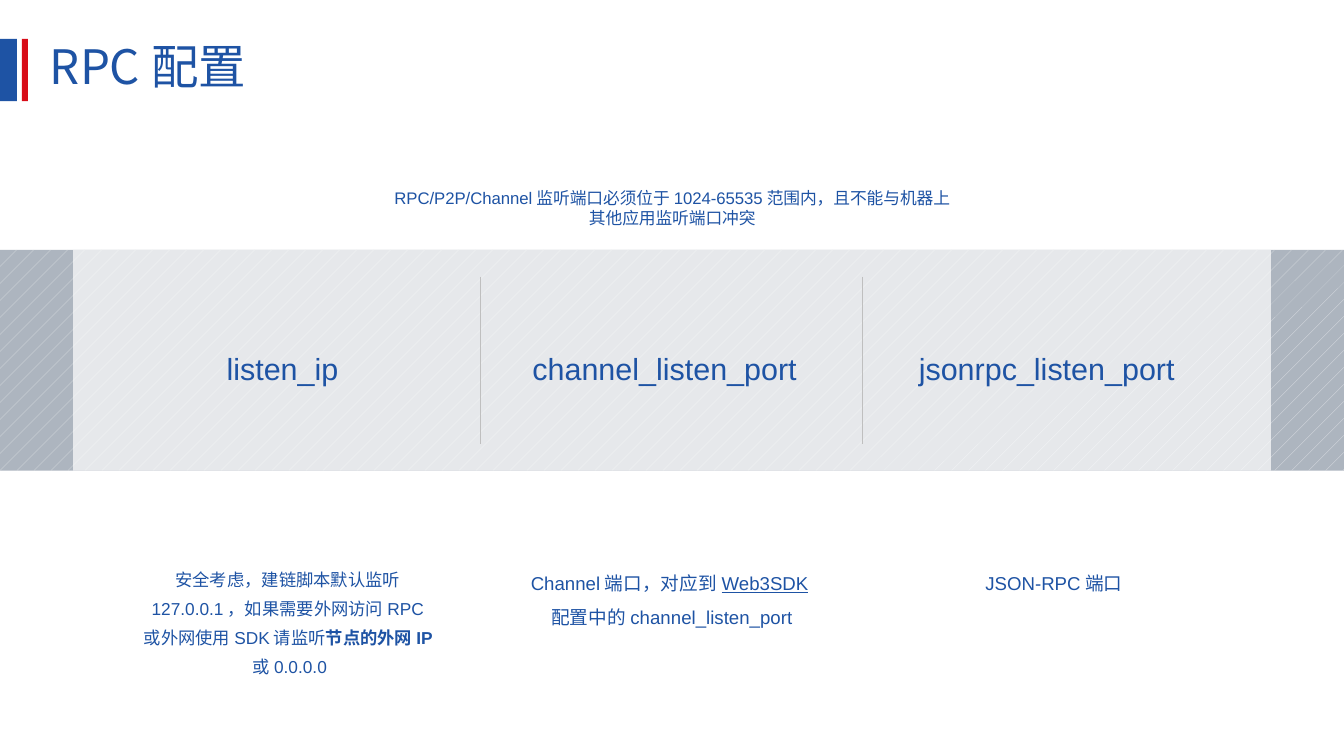
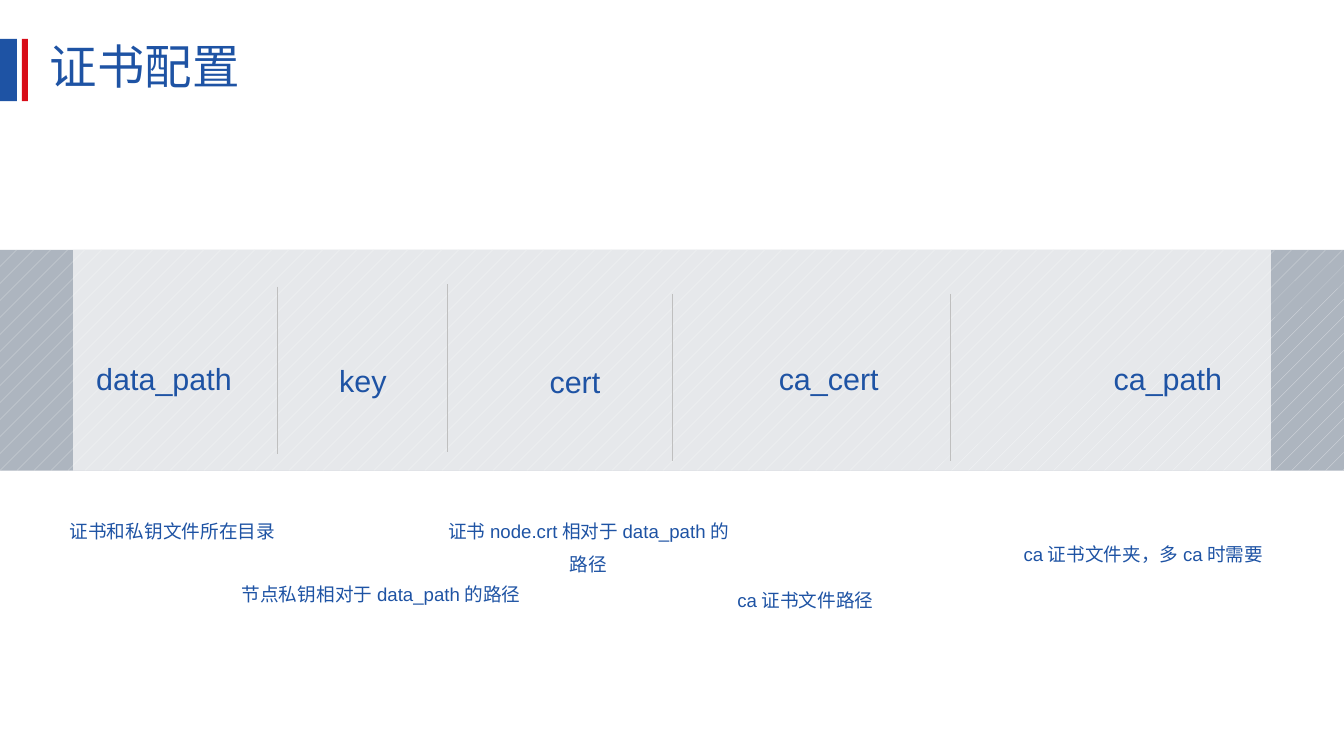
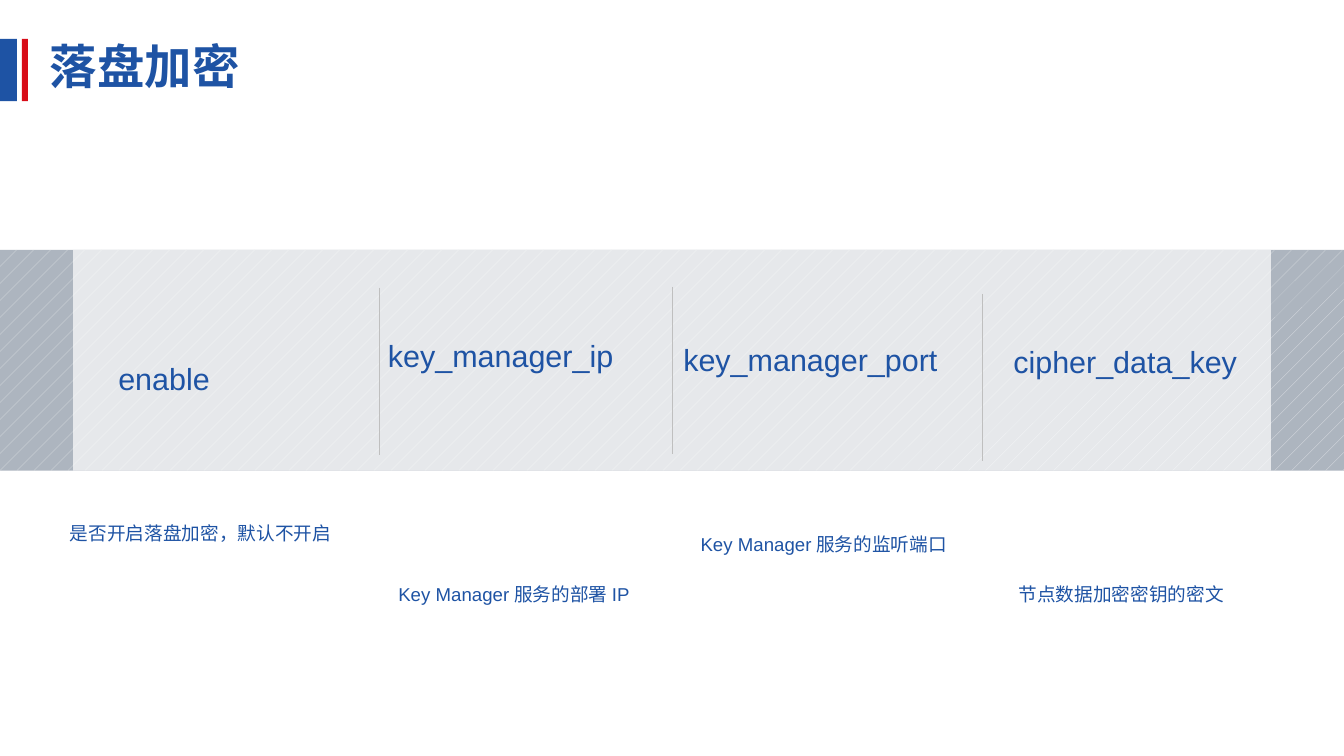
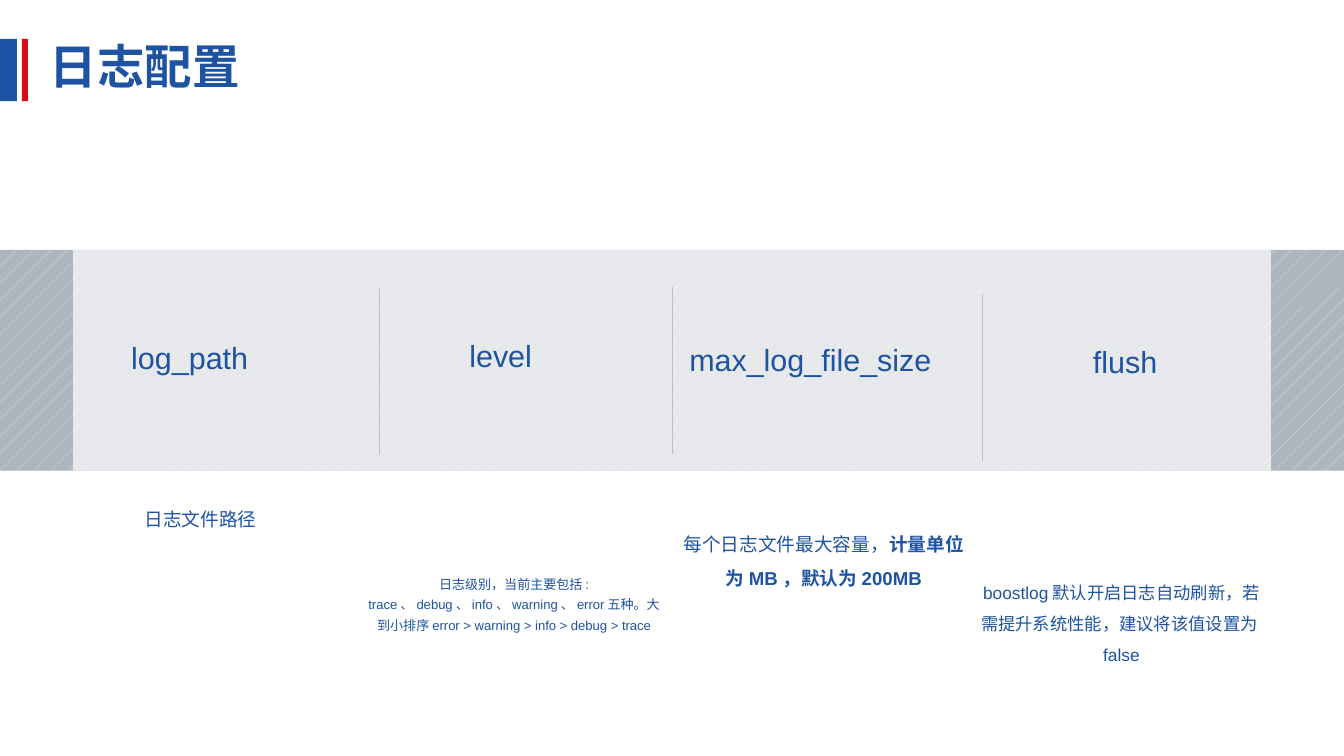
"""Builds four slides on node configuration: RPC, certificates, disk encryption and logs."""
from lxml import etree
from pptx import Presentation
from pptx.dml.color import RGBColor
from pptx.enum import dml, shapes, text
from pptx.oxml.ns import qn
from pptx.util import Pt

WIDTH, HEIGHT = 793.44, 446.4
BLUE, RED, WHITE, RULE = "1E53A4", "D80C18", "FFFFFF", "BFBFBF"
STRIPE, SLATE = "E4E6EA", "ADB5BF"
TITLE_FONT, BODY_FONT = "Noto Sans CJK SC", "Arial"
BARS = [(0, 10, BLUE), (12.9, 3.6, RED)]
BAR_TOP, BAR_H = 23, 36.7
BAND_TOP, BAND_H, BAND_MARGIN = 147.6, 130.3, 43.2
COL_W, LABEL_H, NOTE_H, RULE_H = 186.5, 27.4, 56.9, 98.9
COL_STEP = 225.6
PLAIN, BOLD, UNDERLINED = {}, {"bold": True}, {"underline": True}

THIRDS = {
    "labels": [(73.5 + COL_STEP * i, 203.8) for i in range(3)],
    "notes": [(77.8 + COL_STEP * i, 327.6) for i in range(3)],
    "rules": [(283.6 + COL_STEP * i, 163.4) for i in range(2)],
}
FIFTHS = {
    "labels": [(3.6, 209.5), (121, 211), (246.2, 211.7), (396, 209.5), (596.2, 209.5)],
    "notes": [(8.6, 296.6), (131.8, 334.1), (254.2, 296.6), (382.3, 337.7), (581.8, 310.3)],
    "rules": [(163.4, 169.2), (264.2, 167.8), (396.7, 173.5), (560.9, 173.5)],
}
QUARTERS = {
    "labels": [(3.6, 209.5), (202.3, 195.8), (385.2, 198.7), (571, 199.4)],
    "notes": [(25.2, 298.1), (210.2, 334.1), (393.1, 304.6), (568.8, 334.1)],
    "rules": [(223.9, 169.9), (396.7, 169.2), (579.6, 173.5)],
}
LOG_QUARTERS = {**QUARTERS, "labels": [(18.7, 197.3)] + QUARTERS["labels"][1:]}


def note(*paragraphs, size=11, spacing=1.5):
    """Return a note; each paragraph is a string or a list of (text, format) runs."""
    runs = [[(p, PLAIN)] if isinstance(p, str) else p for p in paragraphs]
    return {"paragraphs": runs, "size": size, "spacing": spacing}


SLIDES = [
    {"title": "RPC配置", "bold": False, "layout": THIRDS,
     "lead": "RPC/P2P/Channel监听端口必须位于1024-65535范围内，且不能与机器上其他应用监听端口冲突",
     "items": [
         ("listen_ip", note([
             ("安全考虑，建链脚本默认监听127.0.0.1，如果需要外网访问RPC或外网使用SDK请监听", PLAIN),
             ("节点的外网IP", BOLD), ("或0.0.0.0", PLAIN)], size=10.2, spacing=1.4)),
         ("channel_listen_port", note([
             ("Channel端口，对应到", PLAIN), ("Web3SDK", UNDERLINED),
             ("配置中的channel_listen_port", PLAIN)])),
         ("jsonrpc_listen_port", note("JSON-RPC端口")),
     ]},
    {"title": "证书配置", "bold": False, "layout": FIFTHS,
     "items": [
         ("data_path", note("证书和私钥文件所在目录")),
         ("key", note("节点私钥相对于data_path的路径")),
         ("cert", note("证书node.crt相对于data_path的路径")),
         ("ca_cert", note("ca证书文件路径")),
         ("ca_path", note("ca证书文件夹，多ca时需要")),
     ]},
    {"title": "落盘加密", "bold": True, "layout": QUARTERS,
     "items": [
         ("enable", note("是否开启落盘加密，默认不开启")),
         ("key_manager_ip", note("Key Manager服务的部署IP")),
         ("key_manager_port", note("Key Manager服务的监听端口")),
         ("cipher_data_key", note("节点数据加密密钥的密文")),
     ]},
    {"title": "日志配置", "bold": True, "layout": LOG_QUARTERS,
     "items": [
         ("log_path", note("日志文件路径", spacing=0.9)),
         ("level", note(
             "日志级别，当前主要包括:",
             "trace、debug、info、warning、error五种。大到小排序error > warning > info > debug > trace",
             size=7.7, spacing=1.3)),
         ("max_log_file_size", note([
             ("每个日志文件最大容量，", PLAIN), ("计量单位为MB，默认为200MB", BOLD)])),
         ("flush", note("boostlog默认开启日志自动刷新，若需提升系统性能，建议将该值设置为false",
                        size=10.2)),
     ]},
]


def rgb(value):
    """Turn a hex string into a colour."""
    return RGBColor.from_string(value)


def set_all(target, values):
    """Set each named attribute on the target."""
    for name, value in values.items():
        setattr(target, name, value)


def add_rect(s, left, top, width, height, color=None):
    """Add a rectangle without outline or shadow, filled if a colour is given."""
    sp = s.shapes.add_shape(shapes.MSO_SHAPE.RECTANGLE, Pt(left), Pt(top), Pt(width), Pt(height))
    sp.shadow.inherit = False
    sp.line.fill.background()
    if color:
        sp.fill.solid()
        sp.fill.fore_color.rgb = rgb(color)
    return sp


def add_text(s, box, paragraphs, size, spacing=None, font=BODY_FONT,
             align=text.PP_ALIGN.CENTER, **frame):
    """Add a wrapped text box with formatted runs."""
    tf = s.shapes.add_textbox(*map(Pt, box)).text_frame
    set_all(tf, {"word_wrap": True, **frame})
    for i, runs in enumerate(paragraphs):
        p = tf.add_paragraph() if i else tf.paragraphs[0]
        set_all(p, {"alignment": align, "line_spacing": spacing})
        for content, style in runs:
            r = p.add_run()
            r.text = content
            set_all(r.font, {"name": font, "size": Pt(size), **style})
            r.font.color.rgb = rgb(BLUE)
            etree.SubElement(r._r.get_or_add_rPr(), qn("a:ea")).set("typeface", font)


def add_rule(s, x, top):
    """Add a thin vertical divider."""
    line = s.shapes.add_connector(shapes.MSO_CONNECTOR.STRAIGHT,
                                  Pt(x), Pt(top), Pt(x), Pt(top + RULE_H))
    line.line.width = Pt(0.25)
    line.line.color.rgb = rgb(RULE)
    etree.SubElement(line._element.spPr, qn("a:effectLst"))


def add_frame(s, title, bold):
    """Add the title with its bars and the striped band."""
    for left, width, color in BARS:
        add_rect(s, left, BAR_TOP, width, BAR_H, color)
    add_text(s, (29.5, 25.9, 734.4, 30.2), [[(title, {"bold": bold})]], 28, 0.9, TITLE_FONT,
             text.PP_ALIGN.LEFT, margin_left=0, margin_top=0, margin_right=0, margin_bottom=0,
             vertical_anchor=text.MSO_ANCHOR.MIDDLE,
             auto_size=text.MSO_AUTO_SIZE.SHAPE_TO_FIT_TEXT)
    band = add_rect(s, 0, BAND_TOP, WIDTH, BAND_H)
    band.fill.patterned()
    band.fill.pattern = dml.MSO_PATTERN.PERCENT_5
    band.fill.fore_color.rgb = rgb(STRIPE)
    band.fill.back_color.rgb = rgb(SLATE)
    veil = add_rect(s, BAND_MARGIN, BAND_TOP, WIDTH - 2 * BAND_MARGIN, BAND_H, WHITE)
    color = veil._element.spPr.find(qn("a:solidFill"))[0]
    etree.SubElement(color, qn("a:alpha")).set("val", "70000")


def main():
    """Build the slides and save them."""
    prs = Presentation()
    prs.slide_width, prs.slide_height = Pt(WIDTH), Pt(HEIGHT)
    for page in SLIDES:
        s = prs.slides.add_slide(prs.slide_layouts[6])
        add_frame(s, page["title"], page["bold"])
        if "lead" in page:
            add_text(s, (225.2, 107.3, 343.4, 28), [[(page["lead"], PLAIN)]], 9.9)
        layout = page["layout"]
        for x, top in layout["rules"]:
            add_rule(s, x, top)
        for (label, body), label_at, note_at in zip(page["items"], layout["labels"], layout["notes"]):
            add_text(s, (*label_at, COL_W, LABEL_H), [[(label, PLAIN)]], 18,
                     vertical_anchor=text.MSO_ANCHOR.MIDDLE)
            add_text(s, (*note_at, COL_W, NOTE_H), **body)
    prs.save("out.pptx")


if __name__ == "__main__":
    main()
